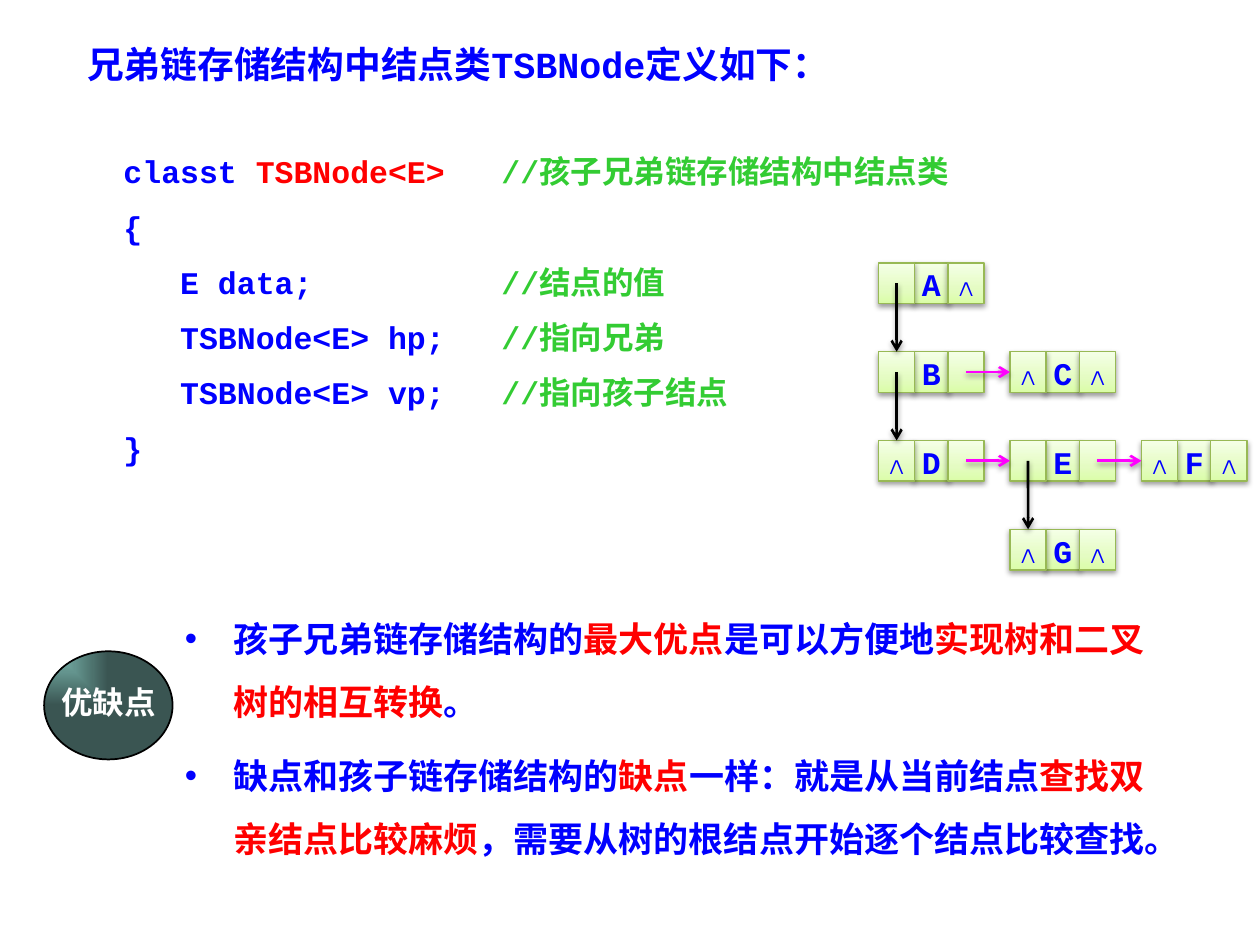
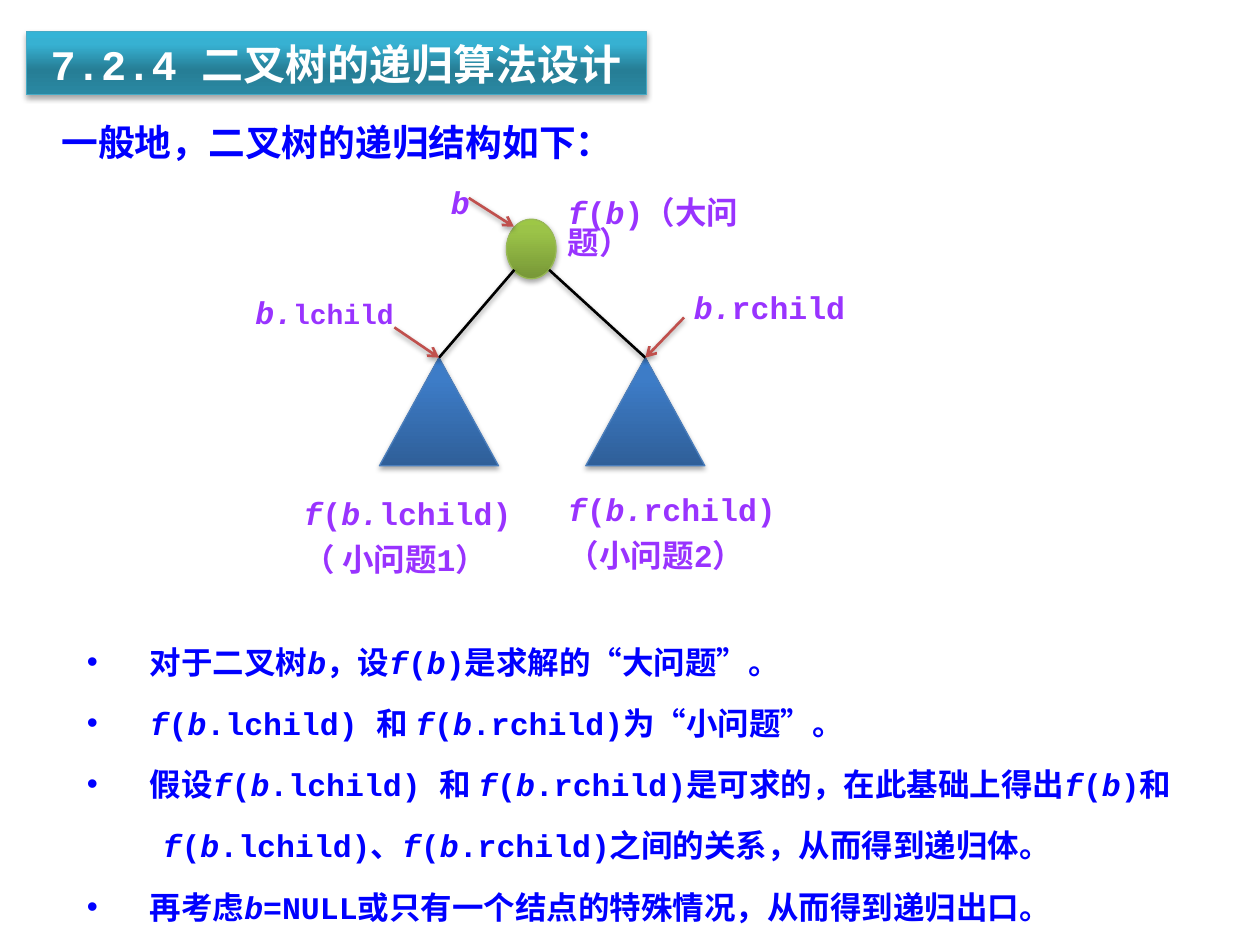
"""Builds two slides on sibling-linked tree storage and recursion over binary trees."""
from lxml import etree
from pptx import Presentation
from pptx.dml.color import RGBColor
from pptx.enum.shapes import MSO_CONNECTOR, MSO_SHAPE
from pptx.enum.text import MSO_ANCHOR, MSO_AUTO_SIZE, PP_ALIGN
from pptx.oxml.ns import qn
from pptx.util import Cm, Pt

STRAIGHT = MSO_CONNECTOR.STRAIGHT
RECTANGLE, OVAL, TRIANGLE = MSO_SHAPE.RECTANGLE, MSO_SHAPE.OVAL, MSO_SHAPE.ISOSCELES_TRIANGLE
TOP, MIDDLE = MSO_ANCHOR.TOP, MSO_ANCHOR.MIDDLE
LEFT, CENTER = PP_ALIGN.LEFT, PP_ALIGN.CENTER
NO_AUTOFIT = MSO_AUTO_SIZE.NONE
TITLE_ONLY = 5
TOP_SIDE, LEFT_SIDE = 0, 1

BLUE = RGBColor(0x00, 0x00, 0xFF)
RED = RGBColor(0xFF, 0x00, 0x00)
GREEN = RGBColor(0x33, 0xCC, 0x33)
PURPLE = RGBColor(0x99, 0x33, 0xFF)
MAGENTA = RGBColor(0xFF, 0x00, 0xFF)
BRICK = RGBColor(0xC0, 0x50, 0x4D)
BLACK = RGBColor(0x00, 0x00, 0x00)
WHITE = RGBColor(0xFF, 0xFF, 0xFF)
CELL_EDGE = RGBColor(0x98, 0xB9, 0x55)
TRIANGLE_EDGE = RGBColor(0x4B, 0x7E, 0xBC)
BAR_EDGE = RGBColor(0x46, 0xAA, 0xC5)

CELL_STOPS = [(0, RGBColor(0xDA, 0xFD, 0xA7)), (35, RGBColor(0xE4, 0xFC, 0xC2)),
              (100, RGBColor(0xF5, 0xFF, 0xE7))]
BAR_STOPS = [(0, RGBColor(0x2A, 0x88, 0xA2)), (40, RGBColor(0x26, 0x7E, 0x96)),
             (80, RGBColor(0x37, 0xB1, 0xD2)), (100, RGBColor(0x34, 0xB4, 0xD6))]
ROOT_STOPS = [(0, RGBColor(0x77, 0x97, 0x37)), (80, RGBColor(0x9B, 0xC3, 0x48)),
              (100, RGBColor(0x9D, 0xC7, 0x46))]
TRIANGLE_STOPS = [(0, RGBColor(0x2F, 0x5F, 0x99)), (80, RGBColor(0x3D, 0x7C, 0xC7)),
                  (100, RGBColor(0x3A, 0x7C, 0xCB))]
BADGE_STOPS = [(0, RGBColor(0x7D, 0xBB, 0xB2)), (100, RGBColor(0x3A, 0x55, 0x52))]

CODE_FONT, SERIF_FONT, CHINESE_FONT = "Courier New", "Times New Roman", "Noto Sans CJK SC"
ACCENT_MARK = "|"

STORAGE_TITLE = "兄弟链存储结构中结点类TSBNode定义如下："
CODE_LINES = [
    ("classt |TSBNode<E>|", "//孩子兄弟链存储结构中结点类"),
    ("{", ""),
    ("   E data;", "//结点的值"),
    ("   TSBNode<E> hp;", "//指向兄弟"),
    ("   TSBNode<E> vp;", "//指向孩子结点"),
    ("}", ""),
]
BADGE_TEXT = "优缺点"
PROS_AND_CONS = [
    "孩子兄弟链存储结构的|最大优点|是可以方便地|实现树和二叉树的相互转换|。",
    "缺点和孩子链存储结构的|缺点|一样：就是从当前结点|查找双亲结点比较麻烦|"
    "，需要从树的根结点开始逐个结点比较查找。",
]
TREE_NODES = {"A": (0, 0), "B": (0, 1), "C": (1, 1), "D": (0, 2),
              "E": (1, 2), "F": (2, 2), "G": (1, 3)}
FIRST_CHILD = {"A": "B", "B": "D", "E": "G"}
NEXT_SIBLING = {"B": "C", "D": "E", "E": "F"}
NULL_POINTER = "∧"

RECURSION_TITLE = "7.2.4 二叉树的递归算法设计"
RECURSION_LEAD = "一般地，二叉树的递归结构如下："
RECURSION_POINTS = [
    "对于二叉树|b|，设|f|(|b|)是求解的“大问题”。",
    "|f|(|b|.lchild) 和 |f|(|b|.rchild)为“小问题”。",
    "假设|f|(|b|.lchild) 和 |f|(|b|.rchild)是可求的，在此基础上得出|f|(|b|)和",
    "|f|(|b|.lchild)、|f|(|b|.rchild)之间的关系，从而得到递归体。",
    "再考虑|b|=NULL或只有一个结点的特殊情况，从而得到递归出口。",
]
TREE_LABELS = [
    (["|b|"], (8.84, 3.71, 0.79, 0.89)),
    (["|f|(|b|)（大问题）"], (11.2, 3.91, 4.85, 0.89)),
    (["|b.|lchild"], (4.9, 5.92, 3.96, 0.89)),
    (["|b.|rchild"], (13.74, 5.82, 3.96, 0.89)),
    (["|f|(|b.|lchild)", "（ 小问题1）"], (5.87, 9.98, 4.95, 1.88)),
    (["|f|(|b.|rchild)", "（小问题2）"], (11.2, 9.91, 5.56, 1.88)),
]
SUBTREES = [
    {"left": 7.65, "branch": (10.37, 5.44), "pointer": (7.95, 6.6)},
    {"left": 11.81, "branch": (11.07, 5.44), "pointer": (13.79, 6.4)},
]

CELL_WIDTH, CELL_HEIGHT, CELL_PITCH = 0.73, 0.82, 0.7
TREE_LEFT, TREE_TOP, COLUMN_PITCH, ROW_PITCH = 17.71, 5.3, 2.65, 1.79


def place(shape, box):
    shape.left, shape.top, shape.width, shape.height = (Cm(length) for length in box)


def add_shadow(shape, opacity=38):
    effects = etree.SubElement(shape._element.spPr, qn("a:effectLst"))
    shadow = etree.SubElement(effects, qn("a:outerShdw"), blurRad=str(Pt(3.1)),
                              dist=str(Pt(1.6)), dir="5400000", rotWithShape="0")
    color = etree.SubElement(shadow, qn("a:srgbClr"), val=str(BLACK))
    etree.SubElement(color, qn("a:alpha"), val=str(opacity * 1000))


def fill_gradient(shape, stops, from_corner=False):
    shape.fill.gradient()
    gradient = shape._element.spPr.find(qn("a:gradFill"))
    for child in list(gradient):
        gradient.remove(child)
    stop_list = etree.SubElement(gradient, qn("a:gsLst"))
    for position, color in stops:
        stop = etree.SubElement(stop_list, qn("a:gs"), pos=str(position * 1000))
        etree.SubElement(stop, qn("a:srgbClr"), val=str(color))
    if from_corner:
        path_fill = etree.SubElement(gradient, qn("a:path"), path="rect")
        etree.SubElement(path_fill, qn("a:fillToRect"), r="100000", b="100000")
    else:
        etree.SubElement(gradient, qn("a:lin"), ang="16200000", scaled="0")


def outline(shape, color, width=0.75):
    shape.line.color.rgb = color
    shape.line.width = Pt(width)


def add_figure(slide, preset, box, stops, edge, opacity=38):
    shape = slide.shapes.add_shape(preset, *(Cm(length) for length in box))
    fill_gradient(shape, stops)
    outline(shape, edge)
    add_shadow(shape, opacity)
    return shape


def add_link(slide, start, end, color, target=None, side=TOP_SIDE, arrow=True):
    link = slide.shapes.add_connector(STRAIGHT, *(Cm(length) for length in start + end))
    if target is not None:
        link.end_connect(target, side)
    outline(link, color, 1.5)
    if arrow:
        etree.SubElement(link.line._get_or_add_ln(), qn("a:tailEnd"), type="arrow")
    add_shadow(link)


def write_text(shape, lines, color, size=18, font=CODE_FONT, accent=None, align=LEFT, anchor=TOP,
               spacing=None, before=9, bullets=(), margins=(), tab=None, insets=None, wrap=True):
    """Writes one paragraph a line; marked parts take the accent colour, or italics without one."""
    frame = shape.text_frame
    frame.auto_size, frame.word_wrap, frame.vertical_anchor = NO_AUTOFIT, wrap, anchor
    if insets:
        (frame.margin_left, frame.margin_top,
         frame.margin_right, frame.margin_bottom) = (Cm(inset) for inset in insets)
    for index, line in enumerate(lines):
        paragraph = frame.add_paragraph() if index else frame.paragraphs[0]
        paragraph.alignment = align
        paragraph.space_before = Pt(before if index else 0)
        if spacing:
            paragraph.line_spacing = spacing
        properties = paragraph._p.get_or_add_pPr()
        if index < len(margins):
            properties.set("marL", str(Cm(margins[index])))
            properties.set("indent", "0")
        if index < len(bullets) and bullets[index]:
            properties.set("indent", str(-Cm(margins[index])))
            etree.SubElement(properties, qn("a:buFont"), typeface="Arial")
            etree.SubElement(properties, qn("a:buChar"), char="•")
        if tab:
            tabs = etree.SubElement(properties, qn("a:tabLst"))
            etree.SubElement(tabs, qn("a:tab"), pos=str(Cm(tab)), algn="l")
        paragraph.font.name, paragraph.font.size, paragraph.font.bold = font, Pt(size), True
        paragraph.font.color.rgb = color
        etree.SubElement(properties.find(qn("a:defRPr")), qn("a:ea"), typeface=CHINESE_FONT)
        for part, text in enumerate(line.split(ACCENT_MARK)):
            if text:
                run = paragraph.add_run()
                run.text = text
                if part % 2 and accent is not None:
                    run.font.color.rgb = accent
                elif part % 2:
                    run.font.italic = True
    return frame.paragraphs


def add_text(slide, box, lines, color, **style):
    text_box = slide.shapes.add_textbox(*(Cm(length) for length in box))
    return write_text(text_box, lines, color, **style)


def add_titled_slide(presentation, title, box, color, **style):
    slide = presentation.slides.add_slide(presentation.slide_layouts[TITLE_ONLY])
    place(slide.shapes.title, box)
    write_text(slide.shapes.title, [title], color, **style)
    return slide


def draw_linked_tree(slide):
    cells = {}
    for name, (column, row) in TREE_NODES.items():
        child = "" if name in FIRST_CHILD else NULL_POINTER
        sibling = "" if name in NEXT_SIBLING else NULL_POINTER
        for position, text in ((1, name), (0, child), (2, sibling)):
            box = (TREE_LEFT + column * COLUMN_PITCH + position * CELL_PITCH,
                   TREE_TOP + row * ROW_PITCH, CELL_WIDTH, CELL_HEIGHT)
            cell = add_figure(slide, RECTANGLE, box, CELL_STOPS, CELL_EDGE)
            if text:
                write_text(cell, [text], BLUE, align=CENTER, spacing=Pt(23), insets=(0, 0, 0, 0))
            center = (box[0] + CELL_WIDTH / 2, box[1] + CELL_HEIGHT / 2)
            cells[name, position] = (cell, center)
    for links, position, color, side in ((FIRST_CHILD, 0, BLACK, TOP_SIDE),
                                         (NEXT_SIBLING, 2, MAGENTA, LEFT_SIDE)):
        for source, name in links.items():
            target, target_center = cells[name, 0]
            add_link(slide, cells[source, position][1], target_center, color, target, side)


def build_storage_slide(presentation):
    slide = add_titled_slide(presentation, STORAGE_TITLE, (1.5, 0.71, 16.79, 1.14), BLUE, size=21)
    paragraphs = add_text(slide, (1.98, 2.77, 17.91, 7.14), [code for code, comment in CODE_LINES],
                          BLUE, accent=RED, before=10, tab=7.62, insets=(0.51, 0.3, 0.25, 0.3))
    for paragraph, (code, comment) in zip(paragraphs, CODE_LINES):
        if comment:
            run = paragraph.add_run()
            run.text = "\t" + comment
            run.font.color.rgb = GREEN
    add_text(slide, (3.48, 11.91, 20.22, 5.46), PROS_AND_CONS, BLUE, size=20, accent=RED,
             spacing=1.5, before=6, bullets=(True, True), margins=(0.97, 0.97))
    badge = slide.shapes.add_shape(OVAL, Cm(0.89), Cm(13.13), Cm(2.59), Cm(2.18))
    fill_gradient(badge, BADGE_STOPS, from_corner=True)
    outline(badge, BLACK, 1)
    badge.shadow.inherit = False
    write_text(badge, [BADGE_TEXT], WHITE, font=CHINESE_FONT, align=CENTER, anchor=MIDDLE,
               spacing=0.8, wrap=False)
    draw_linked_tree(slide)


def build_recursion_slide(presentation):
    slide = add_titled_slide(presentation, RECURSION_TITLE, (0.53, 0.64, 12.5, 1.27), WHITE,
                             size=24, align=CENTER)
    bar = slide.shapes.title
    fill_gradient(bar, BAR_STOPS)
    outline(bar, BAR_EDGE)
    add_shadow(bar, 35)
    add_text(slide, (0.99, 2.29, 12.8, 1.14), [RECURSION_LEAD], BLUE, size=21, font=SERIF_FONT)
    add_text(slide, (1.5, 12.57, 23.37, 6.17), RECURSION_POINTS, BLUE, spacing=Pt(29), before=6,
             bullets=(True, True, True, False, True), margins=(1.27, 1.27, 1.27, 1.53, 1.27))
    add_figure(slide, OVAL, (10.21, 4.42, 1, 1.2), ROOT_STOPS, CELL_EDGE, 35)
    add_link(slide, (9.45, 3.99), (10.36, 4.57), BRICK)
    for subtree in SUBTREES:
        box = (subtree["left"], 7.21, 2.4, 2.18)
        triangle = add_figure(slide, TRIANGLE, box, TRIANGLE_STOPS, TRIANGLE_EDGE, 35)
        apex = (box[0] + box[2] / 2, box[1])
        add_link(slide, subtree["branch"], apex, BLACK, triangle, arrow=False)
        add_link(slide, subtree["pointer"], apex, BRICK, triangle)
    for lines, box in TREE_LABELS:
        paragraphs = add_text(slide, box, lines, PURPLE, spacing=0.8)
        if lines == ["|b.|lchild"]:
            paragraphs[0].runs[1].font.size = Pt(16)


def main():
    presentation = Presentation()
    presentation.slide_width, presentation.slide_height = Cm(25.4), Cm(19.05)
    build_storage_slide(presentation)
    build_recursion_slide(presentation)
    presentation.save("out.pptx")


if __name__ == "__main__":
    main()
